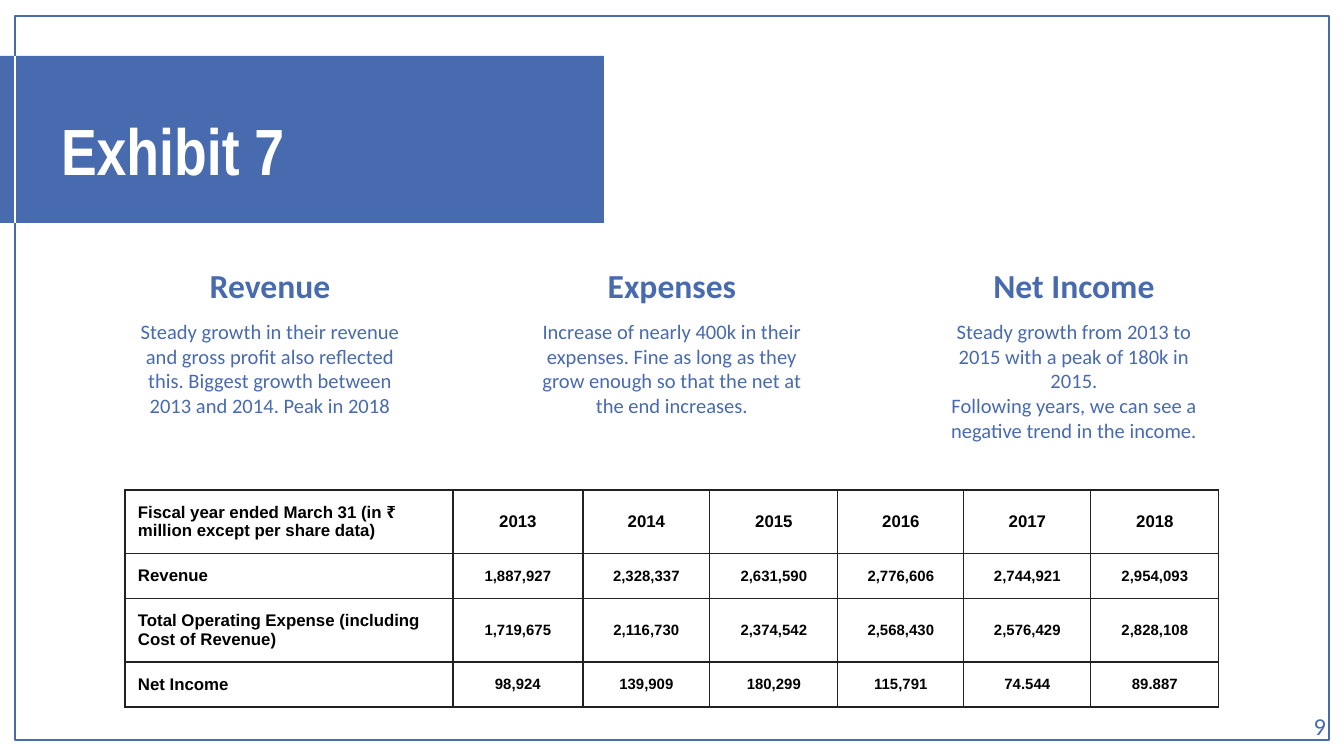
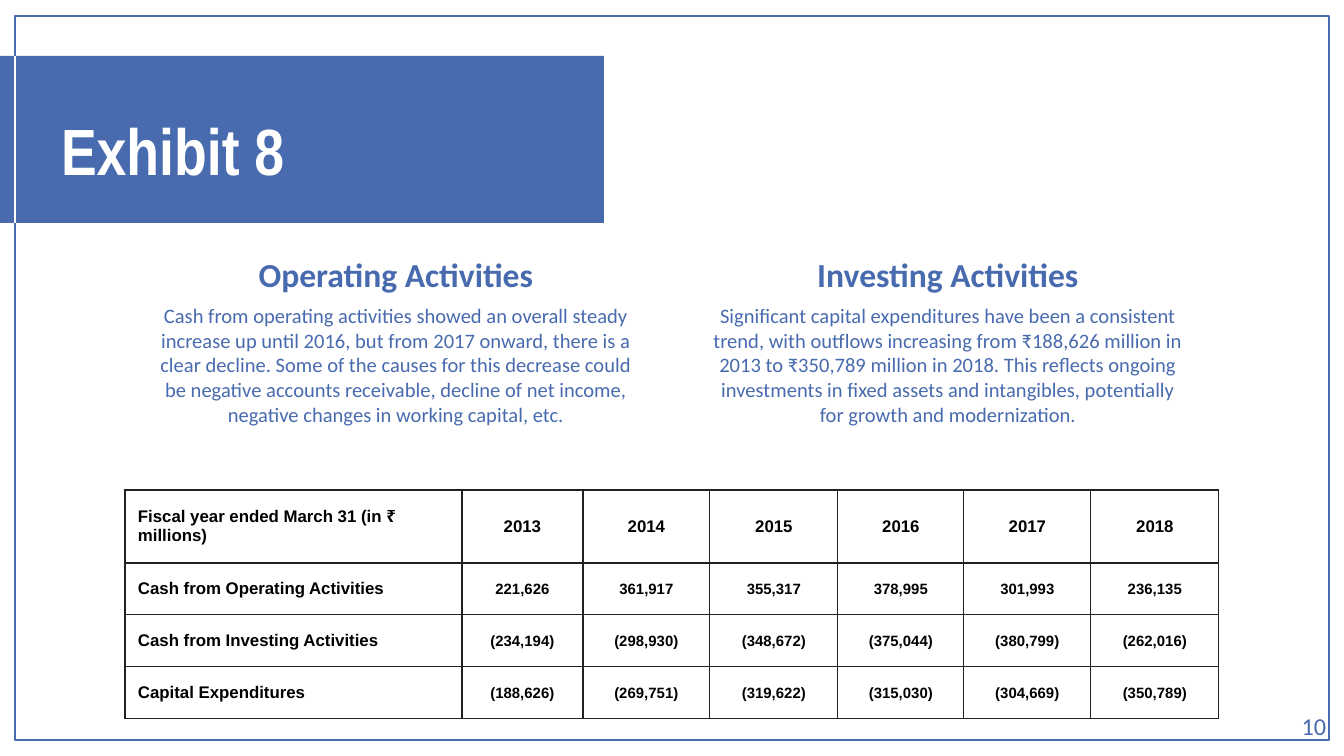
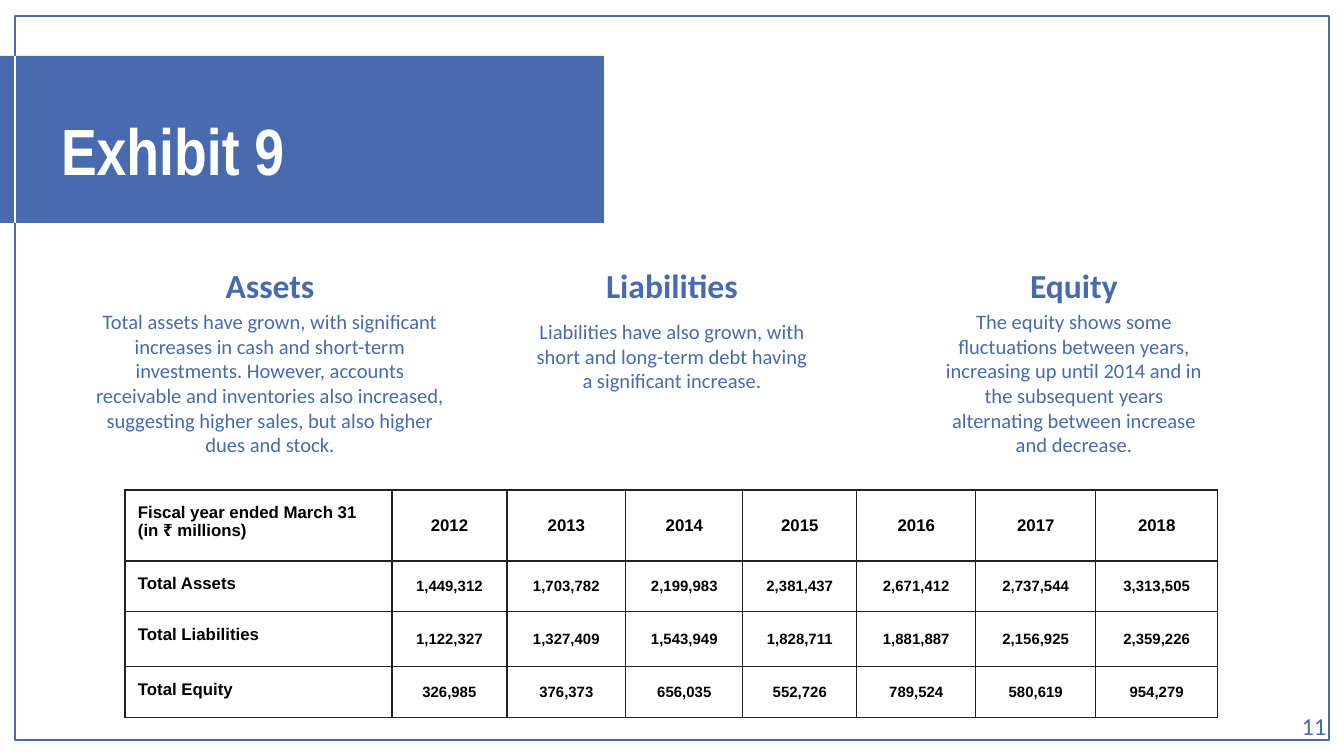
from lxml import etree
from pptx import Presentation
from pptx.dml.color import RGBColor
from pptx.enum.shapes import MSO_CONNECTOR, MSO_SHAPE
from pptx.enum.text import MSO_ANCHOR, MSO_AUTO_SIZE, PP_ALIGN
from pptx.oxml.ns import qn
from pptx.util import Emu, Pt

RECTANGLE = MSO_SHAPE.RECTANGLE
STRAIGHT = MSO_CONNECTOR.STRAIGHT
TOP, MIDDLE = MSO_ANCHOR.TOP, MSO_ANCHOR.MIDDLE
LEFT, CENTER, RIGHT = PP_ALIGN.LEFT, PP_ALIGN.CENTER, PP_ALIGN.RIGHT
NO_AUTOFIT = MSO_AUTO_SIZE.NONE

EMU_PER_PX = 914400 / 134.4
SLIDE_WIDTH, SLIDE_HEIGHT = 1344, 756
INSET = 13
TITLE_ONLY_LAYOUT = 5

BLUE, WHITE, BLACK, GRID = "486AAE", "FFFFFF", "000000", "212121"

TITLE_FONT = {"name": "Arial Narrow", "size": 35, "bold": True, "color": WHITE}
HEADING_FONT = {"name": "Calibri", "size": 18, "bold": True, "color": BLUE}
BODY_FONT = {"name": "Calibri", "size": 11, "bold": False, "color": BLUE}
NUMBER_FONT = {"name": "Calibri", "size": 13, "bold": False, "color": BLUE}
LABEL_FONT = {"name": "Arial", "size": 9, "bold": True, "color": BLACK}
VALUE_FONT = {**LABEL_FONT, "size": 8}

FRAME_BOX = (15, 16, 1314, 724)
BAND_BOX = (-13, 56, 617, 167)
TITLE_BOX = (48, 97, 563, 85)
NUMBER_BOX = (1258, 698, 81, 58)
TABLE_LEFT, TABLE_TOP = 125, 490
HEADING_HEIGHT, BODY_HEIGHT = 46, 134

EXHIBITS = [
    {
        "title": "Exhibit 7",
        "number": "9",
        "heading_top": 262,
        "heading_width": 300,
        "pitch": 402,
        # heading, body paragraphs, body top, body width
        "topics": [
            ("Revenue",
             ["Steady growth in their revenue and gross profit also reflected this. "
              "Biggest growth between 2013 and 2014. Peak in 2018"], 306, 300),
            ("Expenses",
             ["Increase of nearly 400k in their expenses. Fine as long as they grow "
              "enough so that the net at the end increases."], 306, 300),
            ("Net Income",
             ["Steady growth from 2013 to 2015 with a peak of 180k in 2015.",
              "Following years, we can see a negative trend in the income."], 306, 300),
        ],
        "label_anchor": TOP,
        "columns": [328, 130, 127, 128, 126, 127, 128],
        "row_heights": [63, 44, 63, 44],
        "rows": [
            ["Fiscal year ended March 31 (in ₹ million except per share data)",
             "2013", "2014", "2015", "2016", "2017", "2018"],
            ["Revenue", "1,887,927", "2,328,337", "2,631,590", "2,776,606",
             "2,744,921", "2,954,093"],
            ["Total Operating Expense (including Cost of Revenue)", "1,719,675",
             "2,116,730", "2,374,542", "2,568,430", "2,576,429", "2,828,108"],
            ["Net Income", "98,924", "139,909", "180,299", "115,791", "74.544", "89.887"],
        ],
    },
    {
        "title": "Exhibit 8",
        "number": "10",
        "heading_top": 251,
        "heading_width": 552,
        "pitch": 552,
        "topics": [
            ("Operating Activities",
             ["Cash from operating activities showed an overall steady increase up until "
              "2016, but from 2017 onward, there is a clear decline. Some of the causes "
              "for this decrease could be negative accounts receivable, decline of net "
              "income, negative changes in working capital, etc."], 290, 500),
            ("Investing Activities",
             ["Significant capital expenditures have been a consistent trend, with "
              "outflows increasing from ₹188,626 million in 2013 to ₹350,789 million in "
              "2018. This reflects ongoing investments in fixed assets and intangibles, "
              "potentially for growth and modernization."], 290, 500),
        ],
        "label_anchor": MIDDLE,
        "columns": [337, 121, 127, 128, 126, 127, 128],
        "row_heights": [73, 52, 52, 52],
        "rows": [
            ["Fiscal year ended March 31 (in ₹ millions)",
             "2013", "2014", "2015", "2016", "2017", "2018"],
            ["Cash from Operating Activities", "221,626", "361,917", "355,317",
             "378,995", "301,993", "236,135"],
            ["Cash from Investing Activities", "(234,194)", "(298,930)", "(348,672)",
             "(375,044)", "(380,799)", "(262,016)"],
            ["Capital Expenditures", "(188,626)", "(269,751)", "(319,622)",
             "(315,030)", "(304,669)", "(350,789)"],
        ],
    },
    {
        "title": "Exhibit 9",
        "number": "11",
        "heading_top": 262,
        "heading_width": 300,
        "pitch": 402,
        "topics": [
            ("Assets",
             ["Total assets have grown, with significant increases in cash and short-term "
              "investments. However, accounts receivable and inventories also increased, "
              "suggesting higher sales, but also higher dues and stock."], 296, 375),
            ("Liabilities",
             ["Liabilities have also grown, with short and long-term debt having a "
              "significant increase."], 306, 300),
            ("Equity",
             ["The equity shows some fluctuations between years, increasing up until 2014 "
              "and in the subsequent years alternating between increase and decrease."],
             296, 300),
        ],
        "label_anchor": TOP,
        "columns": [267, 115, 119, 117, 114, 119, 120, 122],
        "row_heights": [71, 51, 55, 51],
        "rows": [
            ["Fiscal year ended March 31 (in ₹ millions)",
             "2012", "2013", "2014", "2015", "2016", "2017", "2018"],
            ["Total Assets", "1,449,312", "1,703,782", "2,199,983", "2,381,437",
             "2,671,412", "2,737,544", "3,313,505"],
            ["Total Liabilities", "1,122,327", "1,327,409", "1,543,949", "1,828,711",
             "1,881,887", "2,156,925", "2,359,226"],
            ["Total Equity", "326,985", "376,373", "656,035", "552,726", "789,524",
             "580,619", "954,279"],
        ],
    },
]


def px(length):
    return Emu(round(length * EMU_PER_PX))


def rgb(color):
    return RGBColor.from_string(color)


def write_text(text_frame, paragraphs, font, alignment):
    for index, text in enumerate(paragraphs):
        paragraph = text_frame.paragraphs[0] if index == 0 else text_frame.add_paragraph()
        paragraph.alignment = alignment
        run = paragraph.add_run()
        run.text = text
        for attribute, value in font.items():
            if attribute == "color":
                run.font.color.rgb = rgb(value)
            else:
                setattr(run.font, attribute, Pt(value) if attribute == "size" else value)


def set_margins(target):
    for side in ("left", "top", "right", "bottom"):
        setattr(target, f"margin_{side}", px(INSET))


def fill_text_frame(shape, paragraphs, font, alignment, anchor=TOP):
    text_frame = shape.text_frame
    set_margins(text_frame)
    settings = {"word_wrap": True, "auto_size": NO_AUTOFIT, "vertical_anchor": anchor}
    for attribute, value in settings.items():
        setattr(text_frame, attribute, value)
    write_text(text_frame, paragraphs, font, alignment)


def add_text(slide, box, paragraphs, font, alignment, anchor=TOP):
    shape = slide.shapes.add_textbox(*map(px, box))
    fill_text_frame(shape, paragraphs, font, alignment, anchor)


def add_rectangle(slide, box, fill=None, line=None):
    shape = slide.shapes.add_shape(RECTANGLE, *map(px, box))
    shape.shadow.inherit = False
    for part, color in ((shape.fill, fill), (shape.line.fill, line)):
        if color:
            part.solid()
            part.fore_color.rgb = rgb(color)
        else:
            part.background()
    if line:
        shape.line.width = Pt(1.5)


def add_backdrop(slide):
    # Page frame and title band
    add_rectangle(slide, FRAME_BOX, line=BLUE)
    add_rectangle(slide, BAND_BOX, fill=BLUE)

    # The frame shows white where it crosses the band
    x, top, height = FRAME_BOX[0], BAND_BOX[1], BAND_BOX[3]
    crossing = slide.shapes.add_connector(STRAIGHT, px(x), px(top), px(x), px(top + height))
    crossing.line.color.rgb = rgb(WHITE)
    crossing.line.width = Pt(1.5)
    etree.SubElement(crossing.element.spPr, qn("a:effectLst"))


def place_title(slide, text):
    title = slide.shapes.title
    title.left, title.top, title.width, title.height = map(px, TITLE_BOX)
    fill_text_frame(title, [text], TITLE_FONT, LEFT)
    # Bring the title in front of the band
    title.element.getparent().append(title.element)


def add_topic(slide, center, exhibit, topic):
    heading, paragraphs, body_top, body_width = topic
    width = exhibit["heading_width"]
    heading_box = (center - width / 2, exhibit["heading_top"], width, HEADING_HEIGHT)
    add_text(slide, heading_box, [heading], HEADING_FONT, CENTER, MIDDLE)
    body_box = (center - body_width / 2, body_top, body_width, BODY_HEIGHT)
    add_text(slide, body_box, paragraphs, BODY_FONT, CENTER)


def set_borders(cell):
    properties = cell._tc.get_or_add_tcPr()
    for side in ("lnL", "lnR", "lnT", "lnB"):
        line = etree.SubElement(properties, qn(f"a:{side}"), w=str(Pt(0.75)))
        fill = etree.SubElement(line, qn("a:solidFill"))
        etree.SubElement(fill, qn("a:srgbClr"), val=GRID)


def add_figures(slide, exhibit):
    rows, columns, heights = exhibit["rows"], exhibit["columns"], exhibit["row_heights"]
    box = (TABLE_LEFT, TABLE_TOP, sum(columns), sum(heights))
    table = slide.shapes.add_table(len(rows), len(columns), *map(px, box)).table
    table.first_row = table.horz_banding = False
    for column, width in zip(table.columns, columns):
        column.width = px(width)
    for row, height in zip(table.rows, heights):
        row.height = px(height)

    for row_index, texts in enumerate(rows):
        for column_index, text in enumerate(texts):
            cell = table.cell(row_index, column_index)
            is_label = column_index == 0
            set_borders(cell)
            cell.fill.background()
            set_margins(cell)
            cell.vertical_anchor = exhibit["label_anchor"] if is_label else MIDDLE
            font = LABEL_FONT if is_label or row_index == 0 else VALUE_FONT
            write_text(cell.text_frame, [text], font, LEFT if is_label else CENTER)


def add_exhibit(presentation, exhibit):
    slide = presentation.slides.add_slide(presentation.slide_layouts[TITLE_ONLY_LAYOUT])
    add_backdrop(slide)
    place_title(slide, exhibit["title"])
    add_figures(slide, exhibit)

    # Topics spread evenly around the middle of the slide
    topics = exhibit["topics"]
    first_center = SLIDE_WIDTH / 2 - exhibit["pitch"] * (len(topics) - 1) / 2
    for index, topic in enumerate(topics):
        add_topic(slide, first_center + index * exhibit["pitch"], exhibit, topic)

    add_text(slide, NUMBER_BOX, [exhibit["number"]], NUMBER_FONT, RIGHT)


def main():
    presentation = Presentation()
    presentation.slide_width = px(SLIDE_WIDTH)
    presentation.slide_height = px(SLIDE_HEIGHT)
    for exhibit in EXHIBITS:
        add_exhibit(presentation, exhibit)
    presentation.save("out.pptx")


if __name__ == "__main__":
    main()
